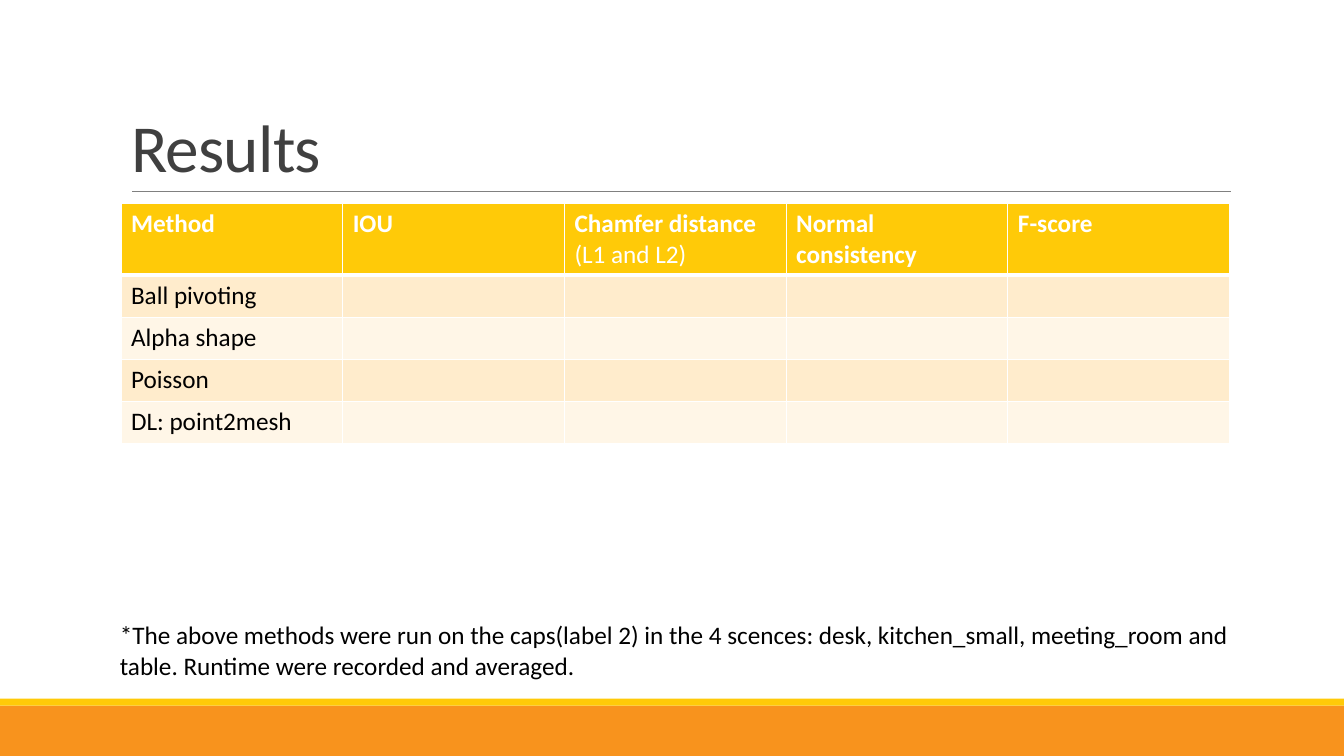
"""Builds the results slide with its table of methods and measures."""
import dataclasses

import lxml.etree
import pptx
import pptx.dml.color
import pptx.enum.shapes
import pptx.enum.text
import pptx.oxml.ns
import pptx.util


@dataclasses.dataclass(frozen=True)
class Theme:
    """Colours, type sizes and font of the slide."""
    font: str = "Calibri"
    head: int = 48
    text: int = 18
    white: str = "FFFFFF"
    black: str = "000000"
    dark: str = "404040"
    grey: str = "808080"
    orange: str = "F8931D"
    gold: str = "FFCA08"
    bands: tuple = ("FFECCC", "FFF6E7")


def tint(code):
    """Turn a hex code into a colour."""
    return pptx.dml.color.RGBColor.from_string(code)


class Page:
    """Draws on one slide; boxes are percent shares of its width and height."""

    def __init__(self, deck, theme):
        """Add a slide that holds only a title."""
        self.deck, self.theme = deck, theme
        self.slide = deck.slides.add_slide(deck.slide_layouts[5])
        self.shapes = self.slide.shapes

    def wide(self, share):
        """Length of a share of the width."""
        return round(self.deck.slide_width * share / 100)

    def high(self, share):
        """Length of a share of the height."""
        return round(self.deck.slide_height * share / 100)

    def box(self, x, y, w, h):
        """Left, top, width and height of a box."""
        return self.wide(x), self.high(y), self.wide(w), self.high(h)

    def run(self, para, text, size, code, bold=False):
        """Add one styled run to a paragraph."""
        run = para.add_run()
        run.text = text
        run.font.name = self.theme.font
        run.font.size = pptx.util.Pt(size)
        run.font.bold = bold
        run.font.color.rgb = tint(code)
        return run

    def bar(self, area, code):
        """Draw a plain filled bar."""
        kind = pptx.enum.shapes.MSO_SHAPE.RECTANGLE
        bar = self.shapes.add_shape(kind, *self.box(*area))
        bar.shadow.inherit = False
        bar.fill.solid()
        bar.fill.fore_color.rgb = tint(code)
        bar.line.fill.background()

    def rule(self, start, end, y):
        """Draw a thin level line."""
        kind = pptx.enum.shapes.MSO_CONNECTOR.STRAIGHT
        rule = self.shapes.add_connector(
            kind, self.wide(start), self.high(y), self.wide(end), self.high(y))
        rule.line.color.rgb = tint(self.theme.grey)
        rule.line.width = pptx.util.Pt(0.5)
        lxml.etree.SubElement(
            rule._element.spPr, pptx.oxml.ns.qn("a:effectLst"))

    def title(self, area, text):
        """Place and fill the title."""
        title = self.shapes.title
        title.left, title.top, title.width, title.height = self.box(*area)
        frame = title.text_frame
        frame.auto_size = pptx.enum.text.MSO_AUTO_SIZE.NONE
        frame.vertical_anchor = pptx.enum.text.MSO_ANCHOR.BOTTOM
        para = frame.paragraphs[0]
        para.alignment = pptx.enum.text.PP_ALIGN.LEFT
        para.line_spacing = 0.85
        run = self.run(para, text, self.theme.head, self.theme.dark)
        run.font._element.set("spc", "-50")

    def note(self, area, text):
        """Add a wrapped text box."""
        frame = self.shapes.add_textbox(*self.box(*area)).text_frame
        frame.word_wrap = True
        frame.auto_size = pptx.enum.text.MSO_AUTO_SIZE.SHAPE_TO_FIT_TEXT
        self.run(frame.paragraphs[0], text, self.theme.text, self.theme.black)

    def edge(self, cell, side, width):
        """Draw one white border of a cell."""
        name = pptx.oxml.ns.qn
        props = cell._tc.get_or_add_tcPr()
        line = lxml.etree.SubElement(
            props, name("a:ln" + side), w=str(pptx.util.Pt(width)))
        fill = lxml.etree.SubElement(line, name("a:solidFill"))
        lxml.etree.SubElement(fill, name("a:srgbClr"), val=self.theme.white)

    def cell(self, cell, row, runs):
        """Style one cell and write its runs of text and weight."""
        theme = self.theme
        widths = {"L": 1, "R": 1, "T": 3 if row == 1 else 1,
                  "B": 3 if row == 0 else 1}
        for side, width in widths.items():
            self.edge(cell, side, width)
        cell.fill.solid()
        shade = theme.bands[(row - 1) % 2] if row else theme.gold
        cell.fill.fore_color.rgb = tint(shade)
        code = theme.black if row else theme.white
        para = cell.text_frame.paragraphs[0]
        para.font.size = pptx.util.Pt(theme.text)
        for text, bold in runs:
            self.run(para, text, theme.text, code, bold)

    def table(self, x, y, w, tall, low, heads, names):
        """Add a table with a header row and one row for each name."""
        count = len(heads)
        rows = [heads]
        rows += [[[(name, False)]] + [[]] * (count - 1) for name in names]
        area = self.box(x, y, w, tall + low * len(names))
        grid = self.shapes.add_table(len(rows), count, *area).table
        for col in grid.columns:
            col.width = self.wide(w / count)
        for row, cells in enumerate(rows):
            grid.rows[row].height = self.high(low if row else tall)
            for col, runs in enumerate(cells):
                self.cell(grid.cell(row, col), row, runs)


def main():
    """Build and save the deck."""
    deck = pptx.Presentation()
    deck.slide_width = pptx.util.Inches(13.33)
    deck.slide_height = pptx.util.Inches(7.5)
    theme = Theme()
    page = Page(deck, theme)
    page.bar((0, 93.33, 100, 6.67), theme.orange)
    page.bar((0, 92.4, 100, 0.93), theme.gold)
    page.rule(9.83, 91.6, 25.33)
    page.title((9, 4.13, 82.5, 21.2), "Results")
    heads = [
        [("Method", True)],
        [("IOU", True)],
        [("Chamfer distance ", True), ("(L1 and L2)", False)],
        [("Normal consistency", True)],
        [("F-score", True)],
    ]
    names = ["Ball pivoting", "Alpha shape", "Poisson", "DL: point2mesh"]
    page.table(9, 26.93, 82.5, 9.33, 5.56, heads, names)
    page.note((8.18, 81.33, 84.17, 9.47),
              "*The above methods were run on the caps(label 2) in the 4 "
              "scences: desk, kitchen_small, meeting_room and table. "
              "Runtime were recorded and averaged.")
    deck.save("out.pptx")


if __name__ == "__main__":
    main()
